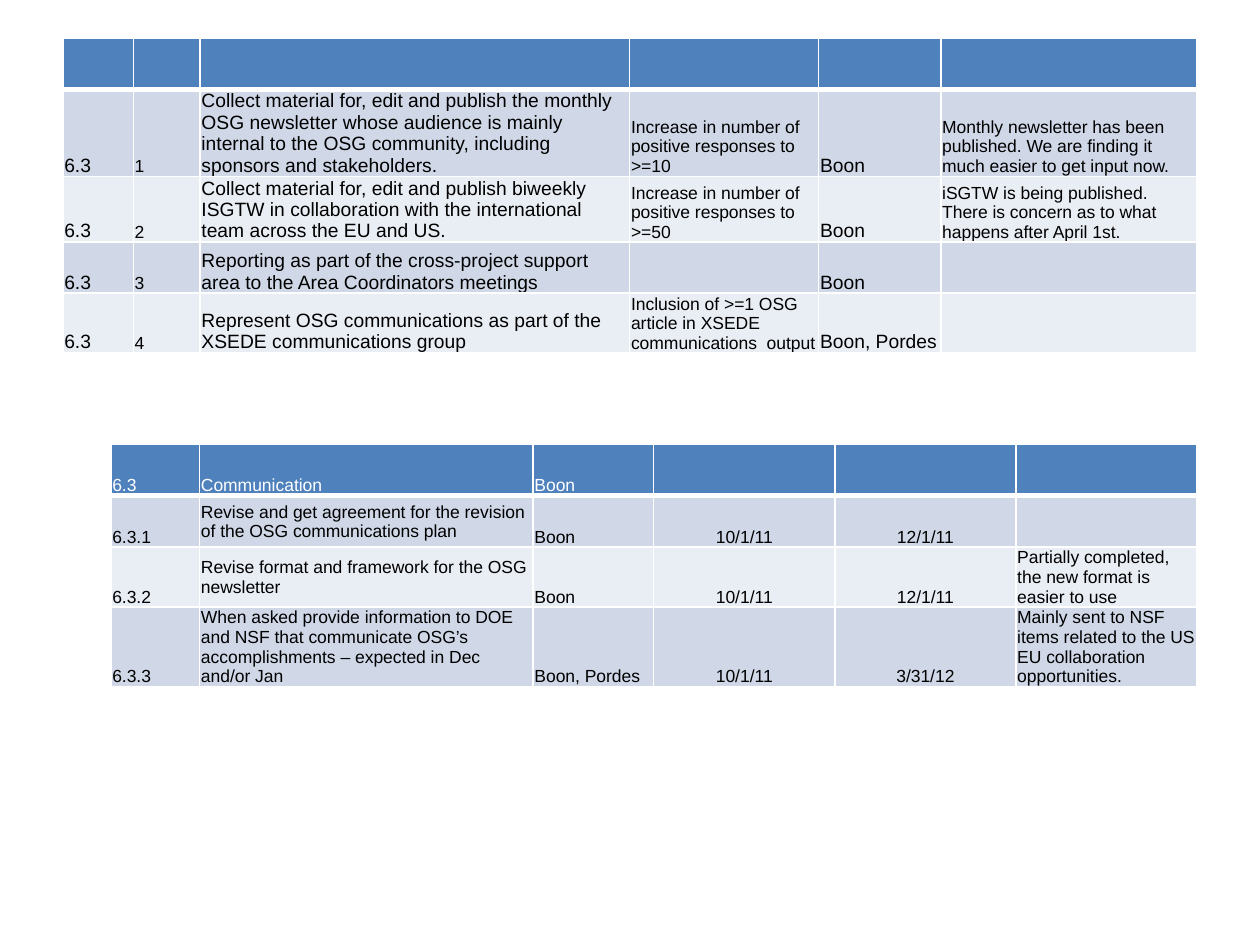
from lxml import etree
from pptx import Presentation
from pptx.dml.color import RGBColor
from pptx.enum.text import MSO_ANCHOR, PP_ALIGN
from pptx.oxml.ns import qn
from pptx.util import Pt

COLORS = {"header": "4F81BD", "odd": "D0D8E8", "even": "E9EDF4",
          "border": "FFFFFF", "header_text": "FFFFFF", "text": "000000"}
FONT = "Arial"
ROW_HEIGHT = 29.2

# Content: one dict per table, with font sizes given per column
TABLES = [
    {
        "position": (36, 21.8), "height": 190,
        "widths": [40.2, 38.2, 245.5, 108, 69.8, 146.3],
        "sizes": [11, 10, 11, 10, 11, 10],
        "centered": (), "middle": (),
        "rows": [
            ["", "", "", "", "", ""],
            ["6.3", "1",
             "Collect material for, edit and publish the monthly OSG newsletter whose audience "
             "is mainly internal to the OSG community, including sponsors and stakeholders.",
             "Increase in number of positive responses to >=10", "Boon",
             "Monthly newsletter has been published. We are finding it much easier to get input now."],
            ["6.3", "2",
             "Collect material for, edit and publish biweekly ISGTW in collaboration with the "
             "international team across the EU and US.",
             "Increase in number of positive responses to >=50", "Boon",
             "iSGTW is being published. There is concern as to what happens after April 1st."],
            ["6.3", "3",
             "Reporting as part of the cross-project support area to the Area Coordinators meetings",
             "", "Boon", ""],
            ["6.3", "4",
             "Represent OSG communications as part of the XSEDE communications group",
             "Inclusion of >=1 OSG article in XSEDE communications  output", "Boon, Pordes", ""],
        ],
    },
    {
        "position": (63.4, 254.1), "height": 144.7,
        "widths": [50.7, 190.6, 68.9, 103.5, 103.5, 103.5],
        "sizes": [10] * 6,
        "centered": (3, 4), "middle": (1,),
        "rows": [
            ["6.3", "Communication", "Boon", "", "", ""],
            ["6.3.1", "Revise and get agreement for the revision of the OSG communications plan",
             "Boon", "10/1/11", "12/1/11", ""],
            ["6.3.2", "Revise format and framework for the OSG newsletter",
             "Boon", "10/1/11", "12/1/11",
             "Partially completed, the new format is easier to use"],
            ["6.3.3",
             "When asked provide information to DOE and NSF that communicate OSG’s "
             "accomplishments – expected in Dec and/or Jan",
             "Boon, Pordes", "10/1/11", "3/31/12",
             "Mainly sent to NSF items related to the US EU collaboration opportunities."],
        ],
    },
]


def set_borders(cell, top, bottom):
    properties = cell._tc.get_or_add_tcPr()
    for side, width in (("L", 1), ("R", 1), ("T", top), ("B", bottom)):
        line = etree.SubElement(properties, qn(f"a:ln{side}"), w=str(Pt(width)))
        fill = etree.SubElement(line, qn("a:solidFill"))
        etree.SubElement(fill, qn("a:srgbClr"), val=COLORS["border"])


def format_cell(cell, text, row, column, data):
    is_header = row == 0
    # Borders come before the fill; the rule under the header is thicker
    set_borders(cell, top=3 if row == 1 else 1, bottom=3 if is_header else 1)
    band = "header" if is_header else "odd" if row % 2 else "even"
    cell.fill.solid()
    cell.fill.fore_color.rgb = RGBColor.from_string(COLORS[band])

    cell.margin_left = cell.margin_right = cell.margin_top = Pt(0.75)
    cell.margin_bottom = 0
    is_middle = not is_header and column in data["middle"]
    cell.vertical_anchor = MSO_ANCHOR.MIDDLE if is_middle else MSO_ANCHOR.BOTTOM

    cell.text_frame.text = text
    paragraph = cell.text_frame.paragraphs[0]
    if column in data["centered"]:
        paragraph.alignment = PP_ALIGN.CENTER
    for run in paragraph.runs:
        run.font.name = FONT
        run.font.size = Pt(data["sizes"][column])
        run.font.bold = False
        run.font.color.rgb = RGBColor.from_string(
            COLORS["header_text" if is_header else "text"])


def add_task_table(slide, data):
    left, top = data["position"]
    rows, widths = data["rows"], data["widths"]
    frame = slide.shapes.add_table(len(rows), len(widths), Pt(left), Pt(top),
                                   Pt(sum(widths)), Pt(data["height"]))
    table = frame.table
    for column, width in zip(table.columns, widths):
        column.width = Pt(width)
    for table_row in table.rows:
        table_row.height = Pt(ROW_HEIGHT)
    frame.height = Pt(data["height"])
    for row, texts in enumerate(rows):
        for column, text in enumerate(texts):
            format_cell(table.cell(row, column), text, row, column, data)


def main():
    presentation = Presentation()
    presentation.slide_width, presentation.slide_height = Pt(720), Pt(540)
    slide = presentation.slides.add_slide(presentation.slide_layouts[6])
    for data in TABLES:
        add_task_table(slide, data)
    presentation.save("out.pptx")


if __name__ == "__main__":
    main()
